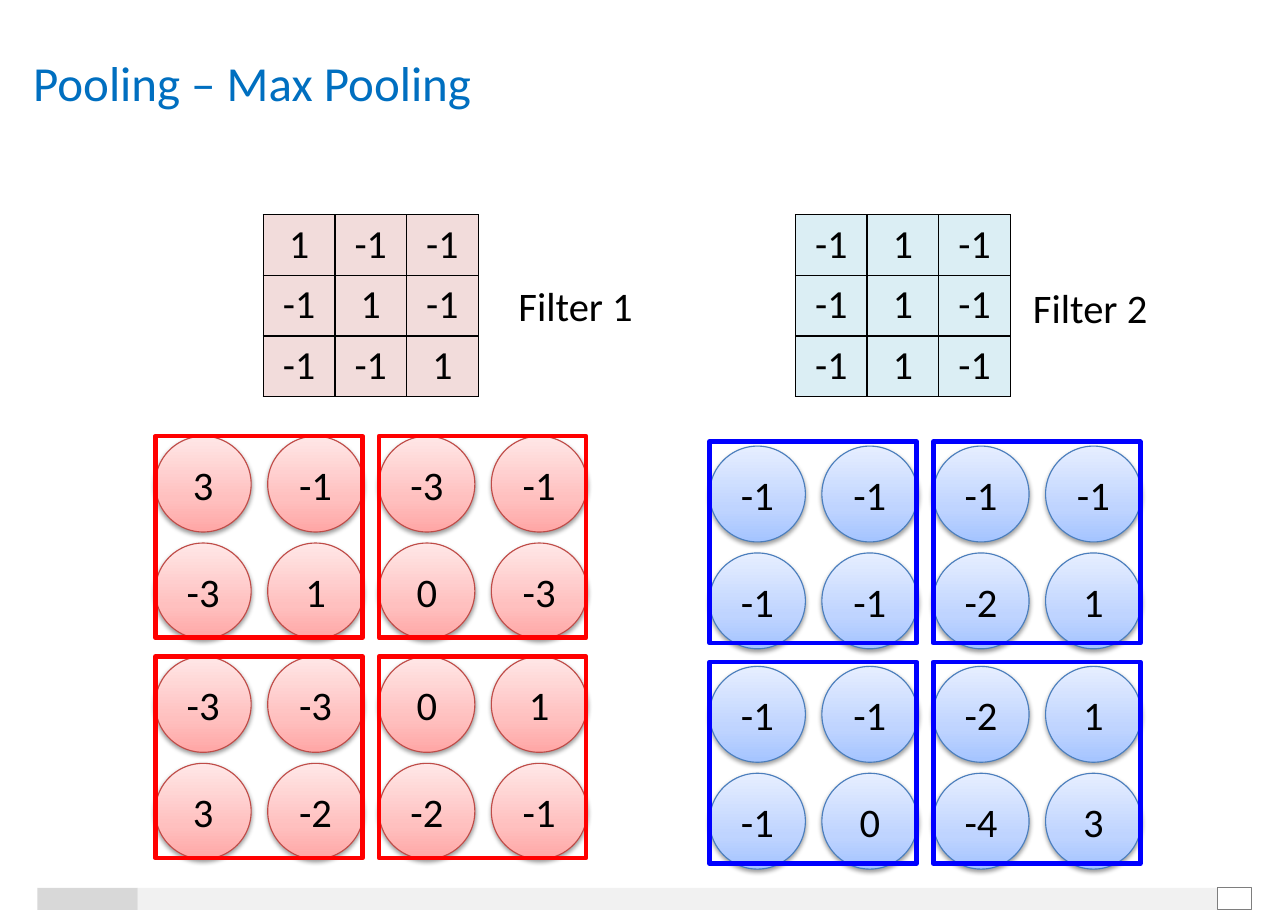
from dataclasses import dataclass
from itertools import product

from lxml.etree import SubElement
from pptx import Presentation
from pptx.dml.color import RGBColor
from pptx.enum.shapes import MSO_SHAPE
from pptx.enum.text import MSO_ANCHOR, MSO_AUTO_SIZE, PP_ALIGN
from pptx.oxml.ns import qn
from pptx.shapes.autoshape import Shape
from pptx.slide import Slide
from pptx.table import _Cell
from pptx.text.text import TextFrame
from pptx.util import Emu, Pt

EMU_PER_PX = 9144  # 100 px to the inch


@dataclass(frozen=True)
class Theme:
    font: str = "Calibri"
    title_size: float = 32
    text_size: float = 26.5
    table_size: float = 26
    title: str = "006FC0"
    text: str = "000000"
    footer: str = "F1F1F1"
    footer_start: str = "D8D8D8"
    page_box: str = "7E7E7E"


@dataclass(frozen=True)
class Box:
    left: int
    top: int
    width: int
    height: int

    def emu(self) -> tuple[Emu, ...]:
        return tuple(px(n) for n in (self.left, self.top, self.width, self.height))


@dataclass(frozen=True)
class Panel:
    """One filter with its feature map, pooled in 2 x 2 windows."""
    label: str
    label_box: Box
    table_box: Box
    weights: tuple[tuple[int, ...], ...]
    table_fill: str
    left: int
    circles_top: int
    windows_top: int
    values: tuple[tuple[int, ...], ...]
    gradient: tuple[tuple[int, str], ...]
    circle_line: str
    window_line: str


THEME = Theme()
CIRCLE = 87
CIRCLE_STEP = (102, 97)
WINDOW = (188, 183)
WINDOW_STEP = (203, 200)

PANELS = (
    Panel(
        "Filter 1", Box(435, 250, 175, 55), Box(239, 195, 195, 165),
        ((1, -1, -1), (-1, 1, -1), (-1, -1, 1)), "F2DCDB",
        141, 396, 396,
        ((3, -1, -3, -1), (-3, 1, 0, -3), (-3, -3, 0, 1), (3, -2, -2, -1)),
        ((0, "FFA6A5"), (35, "FFC0BF"), (100, "FFE7E7")), "BF4C48", "FF0000",
    ),
    Panel(
        "Filter 2", Box(902, 252, 175, 55), Box(722, 195, 195, 165),
        ((-1, 1, -1), (-1, 1, -1), (-1, 1, -1)), "DBEEF4",
        644, 405, 401,
        ((-1, -1, -1, -1), (-1, -1, -2, 1), (-1, -1, -2, 1), (-1, 0, -4, 3)),
        ((0, "A4C4FF"), (35, "BFD4FF"), (100, "E6EEFF")), "4B7EBC", "0000FF",
    ),
)


def px(length: int) -> Emu:
    return Emu(length * EMU_PER_PX)


def rgb(color: str) -> RGBColor:
    return RGBColor.from_string(color)


def set_text(text_frame: TextFrame, text: str, size: float, color: str,
             align: PP_ALIGN = PP_ALIGN.CENTER) -> None:
    text_frame.text = text
    paragraph = text_frame.paragraphs[0]
    paragraph.alignment = align
    font = paragraph.runs[0].font
    font.name, font.size = THEME.font, Pt(size)
    font.color.rgb = rgb(color)


def clear_margins(text_frame: TextFrame) -> None:
    text_frame.margin_left = text_frame.margin_right = 0
    text_frame.margin_top = text_frame.margin_bottom = 0


def add_shape(slide: Slide, kind: MSO_SHAPE, box: Box, fill: str | None = None,
              line: str | None = None, line_width: float = 0.75) -> Shape:
    shape = slide.shapes.add_shape(kind, *box.emu())
    shape.shadow.inherit = False
    if fill:
        shape.fill.solid()
        shape.fill.fore_color.rgb = rgb(fill)
    else:
        shape.fill.background()
    if line:
        shape.line.color.rgb = rgb(line)
        shape.line.width = Pt(line_width)
    else:
        shape.line.fill.background()
    return shape


def add_circle(slide: Slide, box: Box, value: int, panel: Panel) -> None:
    circle = add_shape(slide, MSO_SHAPE.OVAL, box, line=panel.circle_line)
    circle.fill.gradient()
    circle.fill.gradient_angle = 90
    properties = circle._element.spPr
    stops = properties.find(f".//{qn('a:gsLst')}")
    stops.clear()
    for position, color in panel.gradient:
        stop = SubElement(stops, qn("a:gs"), pos=str(position * 1000))
        SubElement(stop, qn("a:srgbClr"), val=color)
    shadow = SubElement(properties.find(qn("a:effectLst")), qn("a:outerShdw"),
                        blurRad=str(Pt(3.1)), dist=str(Pt(1.6)), dir="5400000", rotWithShape="0")
    shadow_color = SubElement(shadow, qn("a:srgbClr"), val="000000")
    SubElement(shadow_color, qn("a:alpha"), val="38000")
    text_frame = circle.text_frame
    clear_margins(text_frame)
    text_frame.vertical_anchor = MSO_ANCHOR.MIDDLE
    set_text(text_frame, str(value), THEME.text_size, THEME.text)


def set_borders(cell: _Cell) -> None:
    properties = cell._tc.get_or_add_tcPr()
    for index, side in enumerate(("a:lnL", "a:lnR", "a:lnT", "a:lnB")):
        border = properties.makeelement(qn(side), {"w": str(Pt(1))})
        fill = SubElement(border, qn("a:solidFill"))
        SubElement(fill, qn("a:srgbClr"), val=THEME.text)
        properties.insert(index, border)


def add_weights(slide: Slide, panel: Panel) -> None:
    count = len(panel.weights)
    table = slide.shapes.add_table(count, count, *panel.table_box.emu()).table
    table.first_row = table.horz_banding = False
    for row, column in product(range(count), repeat=2):
        cell = table.cell(row, column)
        cell.margin_left = cell.margin_right = px(11)
        cell.margin_top = cell.margin_bottom = px(5)
        cell.fill.solid()
        cell.fill.fore_color.rgb = rgb(panel.table_fill)
        set_text(cell.text_frame, str(panel.weights[row][column]), THEME.table_size, THEME.text)
        set_borders(cell)


def add_panel(slide: Slide, panel: Panel) -> None:
    # Filter weights and label
    add_weights(slide, panel)
    label = slide.shapes.add_textbox(*panel.label_box.emu())
    label.text_frame.word_wrap = True
    set_text(label.text_frame, panel.label, THEME.text_size, THEME.text)

    # Feature map
    for row, column in product(range(4), repeat=2):
        left = panel.left + column // 2 * WINDOW_STEP[0] + column % 2 * CIRCLE_STEP[0]
        top = panel.circles_top + row // 2 * WINDOW_STEP[1] + row % 2 * CIRCLE_STEP[1]
        add_circle(slide, Box(left, top, CIRCLE, CIRCLE), panel.values[row][column], panel)

    # Pooling windows
    for row, column in product(range(2), repeat=2):
        box = Box(panel.left + column * WINDOW_STEP[0],
                  panel.windows_top + row * WINDOW_STEP[1], *WINDOW)
        add_shape(slide, MSO_SHAPE.RECTANGLE, box, line=panel.window_line, line_width=3)


def add_title(slide: Slide) -> None:
    title = slide.shapes.title
    title.left, title.top, title.width, title.height = Box(30, 48, 1048, 54).emu()
    text_frame = title.text_frame
    clear_margins(text_frame)
    text_frame.vertical_anchor = MSO_ANCHOR.TOP
    text_frame.auto_size = MSO_AUTO_SIZE.NONE
    set_text(text_frame, "Pooling – Max Pooling", THEME.title_size, THEME.title, PP_ALIGN.LEFT)


def main() -> None:
    presentation = Presentation()
    presentation.slide_width, presentation.slide_height = px(1169), px(827)
    slide = presentation.slides.add_slide(presentation.slide_layouts[5])
    add_title(slide)

    # Footer bar with page box
    add_shape(slide, MSO_SHAPE.RECTANGLE, Box(125, 806, 980, 20), THEME.footer)
    add_shape(slide, MSO_SHAPE.RECTANGLE, Box(34, 806, 91, 20), THEME.footer_start)
    add_shape(slide, MSO_SHAPE.RECTANGLE, Box(1105, 806, 31, 20),
              line=THEME.page_box, line_width=0.5)

    for panel in PANELS:
        add_panel(slide, panel)
    presentation.save("out.pptx")


if __name__ == "__main__":
    main()
